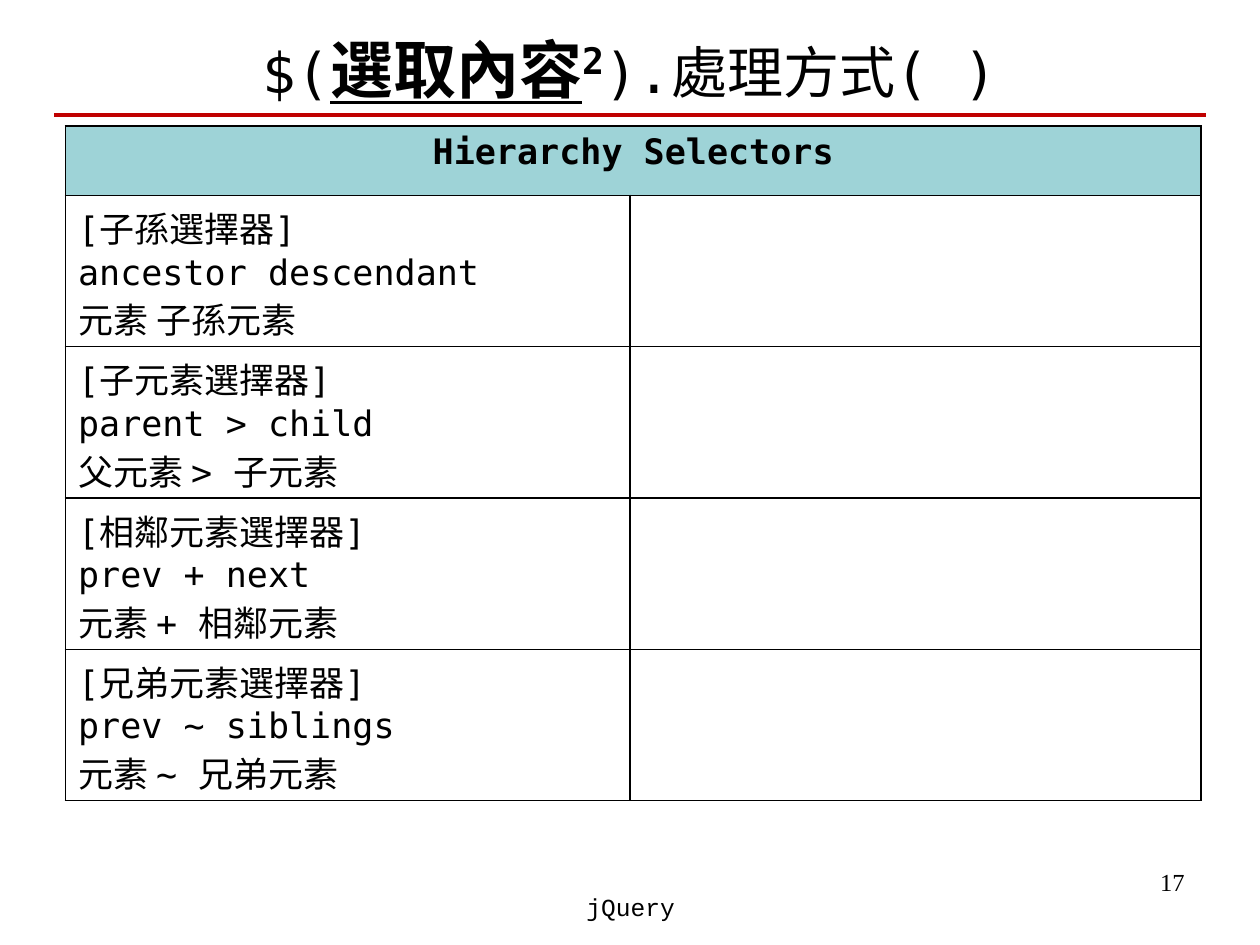
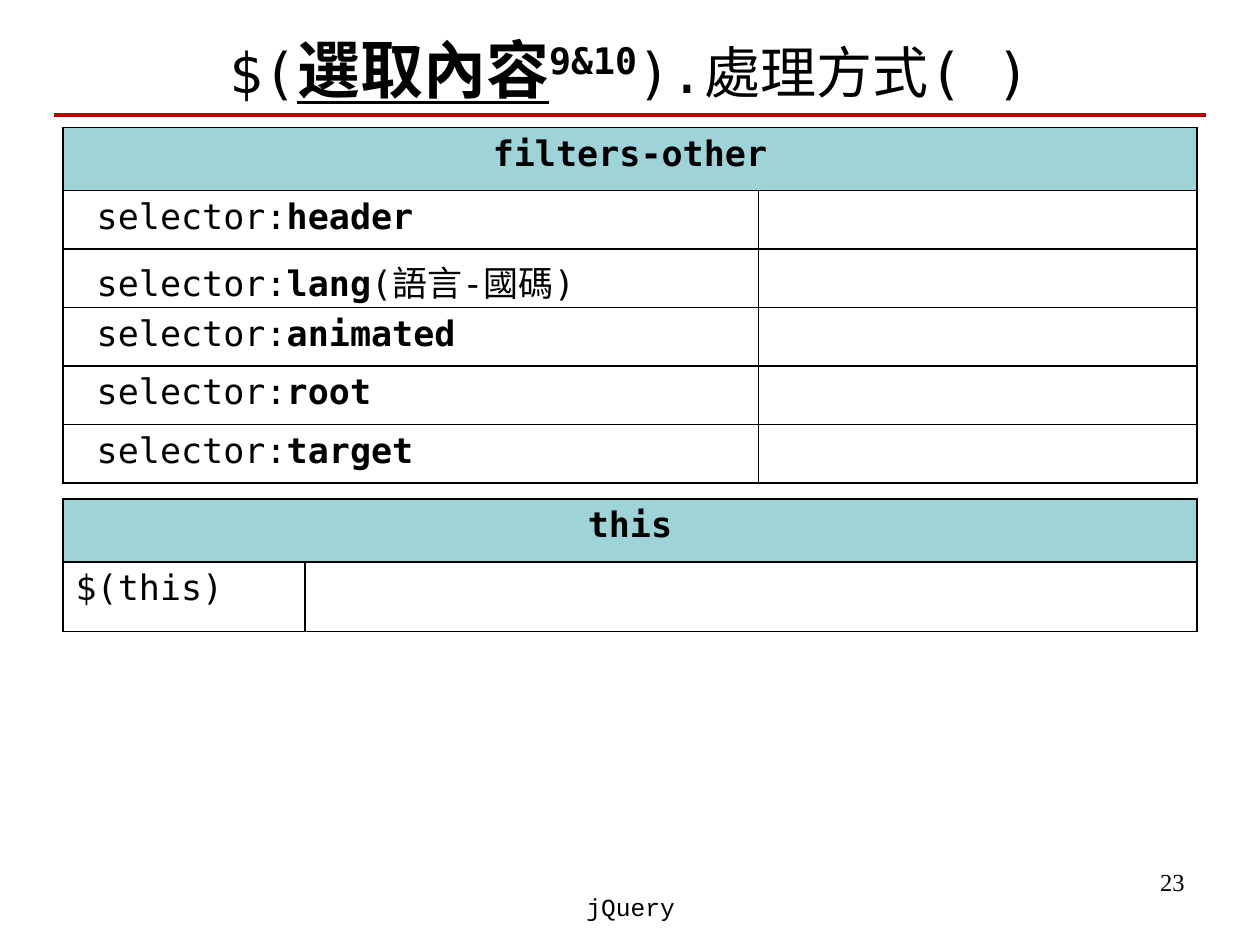
from lxml import etree
from pptx import Presentation
from pptx.dml.color import RGBColor
from pptx.enum.shapes import MSO_CONNECTOR
from pptx.enum.text import MSO_ANCHOR, MSO_AUTO_SIZE, PP_ALIGN
from pptx.oxml.ns import qn
from pptx.util import Cm, Pt

LEFT, CENTER, RIGHT = PP_ALIGN.LEFT, PP_ALIGN.CENTER, PP_ALIGN.RIGHT
MIDDLE = MSO_ANCHOR.MIDDLE
NO_AUTOFIT = MSO_AUTO_SIZE.NONE
STRAIGHT = MSO_CONNECTOR.STRAIGHT
TITLE_ONLY = 5

BLACK, RULE_RED, HEADER_TEAL = "000000", "C00000", "9ED3D7"
CODE_FONT = "DejaVu Sans Mono"

TITLE_CODE = {"name": CODE_FONT, "size": Pt(32), "bold": False}
TITLE_KEY = {"name": CODE_FONT, "size": Pt(36), "bold": True}
TITLE_UNDERLINED = {**TITLE_KEY, "underline": True}
CODE = {"name": CODE_FONT, "size": Pt(20), "bold": False}
CODE_BOLD = {**CODE, "bold": True}
FOOTER = {"name": "Courier New", "size": Pt(14)}
NUMBER = {"name": "Times New Roman", "size": Pt(14)}

HIERARCHY_SELECTORS = [
    ("[子孫選擇器]", "ancestor descendant", "元素 子孫元素"),
    ("[子元素選擇器]", "parent > child", "父元素 > 子元素"),
    ("[相鄰元素選擇器]", "prev + next", "元素 + 相鄰元素"),
    ("[兄弟元素選擇器]", "prev ~ siblings", "元素 ~ 兄弟元素"),
]
OTHER_FILTERS = [("header", ""), ("lang", "(語言-國碼)"), ("animated", ""),
                 ("root", ""), ("target", "")]


def color(hex_code):
    """Turn a hex string into a colour."""
    return RGBColor.from_string(hex_code)


def add_run(paragraph, text, style):
    """Append a black run formatted from a dict of font values."""
    run = paragraph.add_run()
    run.text = text
    for attribute, value in style.items():
        setattr(run.font, attribute, value)
    run.font.color.rgb = color(BLACK)
    return run


def place(shape, left, top, width, height):
    """Move and size a shape, in centimetres."""
    box = {"left": left, "top": top, "width": width, "height": height}
    for side, length in box.items():
        setattr(shape, side, Cm(length))


def add_label(slide, box, text, style, alignment):
    """Add a one-line text box."""
    label = slide.shapes.add_textbox(*map(Cm, box))
    label.text_frame.word_wrap = True
    paragraph = label.text_frame.paragraphs[0]
    paragraph.alignment = alignment
    add_run(paragraph, text, style)


def add_title(slide, selector_group):
    """Fill the title with the call pattern and its raised group number."""
    title = slide.shapes.title
    place(title, 1.27, 0.41, 22.86, 1.93)
    frame = title.text_frame
    frame.auto_size = NO_AUTOFIT
    frame.vertical_anchor = MIDDLE
    heading = frame.paragraphs[0]
    heading.alignment = CENTER
    add_run(heading, "$(", TITLE_CODE)
    add_run(heading, "選取內容", TITLE_UNDERLINED)
    group = add_run(heading, selector_group, TITLE_KEY)
    group._r.get_or_add_rPr().set("baseline", "30000")
    add_run(heading, ").處理方式( )", TITLE_CODE)


def add_title_rule(slide):
    """Draw the red rule below the title."""
    rule = slide.shapes.add_connector(STRAIGHT, Cm(1.09), Cm(2.31), Cm(24.31), Cm(2.31))
    rule.line.color.rgb = color(RULE_RED)
    rule.line.width = Pt(2.25)
    etree.SubElement(rule._element.spPr, qn("a:effectLst"))


def add_borders(cell):
    """Give a cell thin black lines on all four sides."""
    properties = cell._tc.get_or_add_tcPr()
    for side in ("a:lnL", "a:lnR", "a:lnT", "a:lnB"):
        line = etree.SubElement(properties, qn(side), w=str(Pt(1)))
        fill = etree.SubElement(line, qn("a:solidFill"))
        etree.SubElement(fill, qn("a:srgbClr"), val=BLACK)


def fill_cell(cell, lines, alignment=LEFT):
    """Write lines, each a list of (text, style) pairs, into a cell."""
    frame = cell.text_frame
    for index, line in enumerate(lines):
        paragraph = frame.add_paragraph() if index else frame.paragraphs[0]
        paragraph.alignment = alignment
        for text, style in line:
            add_run(paragraph, text, style)


def add_selector_table(slide, left, top, widths, header_height, row_height, header, entries):
    """Add a table: a merged header, then entries beside blank cells."""
    heights = [header_height] + [row_height] * len(entries)
    table = slide.shapes.add_table(
        len(heights), len(widths), Cm(left), Cm(top), Cm(sum(widths)), Cm(sum(heights))).table
    table.first_row = table.horz_banding = False
    for column, width in zip(table.columns, widths):
        column.width = Cm(width)
    for row, height in zip(table.rows, heights):
        row.height = Cm(height)
    for cell in table.iter_cells():
        add_borders(cell)
        cell.fill.background()
    title_cell = table.cell(0, 0)
    title_cell.merge(table.cell(0, len(widths) - 1))
    title_cell.fill.solid()
    title_cell.fill.fore_color.rgb = color(HEADER_TEAL)
    fill_cell(title_cell, [[(header, CODE_BOLD)]], CENTER)
    for row_index, lines in enumerate(entries, start=1):
        fill_cell(table.cell(row_index, 0), lines)


def add_page(deck, selector_group, page_number):
    """Add a slide with the shared title, rule, footer and number."""
    slide = deck.slides.add_slide(deck.slide_layouts[TITLE_ONLY])
    add_title(slide, selector_group)
    add_title_rule(slide)
    add_label(slide, (18.21, 17.35, 5.92, 1.32), page_number, NUMBER, RIGHT)
    add_label(slide, (8.69, 17.86, 8.05, 1.27), "jQuery", FOOTER, CENTER)
    return slide


def filter_line(name, argument):
    """Build the runs of one filter, with its name in bold."""
    line = [(" selector:", CODE), (name, CODE_BOLD)]
    return line + [(argument, CODE)] if argument else line


def main():
    """Build and save the deck."""
    deck = Presentation()
    deck.slide_width, deck.slide_height = Cm(25.4), Cm(19.05)

    hierarchy = add_page(deck, "2", "17")
    add_selector_table(hierarchy, 1.32, 2.54, (11.38, 11.51), 1.4, 3.05, "Hierarchy Selectors",
                       [[[(text, CODE)] for text in entry] for entry in HIERARCHY_SELECTORS])

    filters = add_page(deck, "9&10", "23")
    add_selector_table(filters, 1.27, 2.57, (14.02, 8.84), 1.27, 1.18, "filters-other",
                       [[filter_line(*entry)] for entry in OTHER_FILTERS])
    add_selector_table(filters, 1.27, 10.06, (4.88, 17.98), 1.27, 1.4, "this",
                       [[[("$(this)", CODE)]]])

    deck.save("out.pptx")


main()
